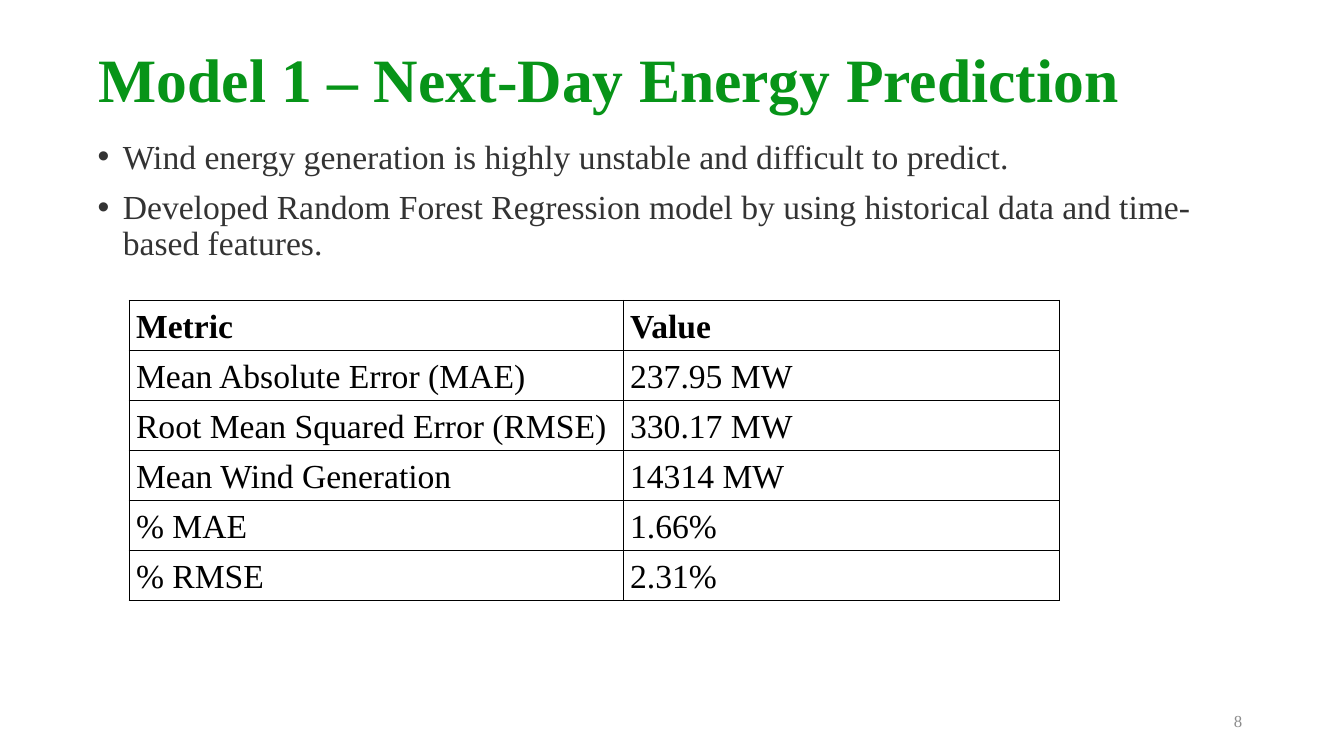
from lxml import etree
from pptx import Presentation
from pptx.dml.color import RGBColor
from pptx.enum.text import MSO_ANCHOR, PP_ALIGN
from pptx.oxml.ns import qn
from pptx.util import Inches, Pt

MIDDLE, TOP = MSO_ANCHOR.MIDDLE, MSO_ANCHOR.TOP
LEFT, RIGHT = PP_ALIGN.LEFT, PP_ALIGN.RIGHT

FONT = "Times New Roman"
COLORS = {
    "title": "079418",
    "body": "333333",
    "number": "8C8C8C",
    "table": "000000",
    "background": "FFFFFF",
}

BULLETS = [
    "Wind energy generation is highly unstable and difficult to predict.",
    "Developed Random Forest Regression model by using historical data and "
    "time-based features.",
]
METRICS = [
    ("Metric", "Value"),
    ("Mean Absolute Error (MAE)", "237.95 MW"),
    ("Root Mean Squared Error (RMSE)", "330.17 MW"),
    ("Mean Wind Generation", "14314 MW"),
    ("% MAE", "1.66%"),
    ("% RMSE", "2.31%"),
]
COLUMN_WIDTHS = (4.9, 4.33)
ROW_HEIGHT = 0.49


def add_run(paragraph, text, size, color, bold=False):
    run = paragraph.add_run()
    run.text = text
    run.font.name = FONT
    run.font.size = Pt(size)
    run.font.bold = bold
    run.font.color.rgb = RGBColor.from_string(COLORS[color])


def add_bullet(paragraph):
    properties = paragraph._p.get_or_add_pPr()
    properties.set("marL", str(Inches(0.25)))
    properties.set("indent", str(-Inches(0.25)))
    etree.SubElement(properties, qn("a:buFont"), typeface="Arial")
    etree.SubElement(properties, qn("a:buChar"), char="•")


def add_text(slide, position, lines, size, color, bold=False, anchor=MIDDLE,
             align=LEFT, spacing=1.0, bulleted=False):
    box = slide.shapes.add_textbox(*(Inches(value) for value in position))
    frame = box.text_frame
    frame.word_wrap = True
    frame.vertical_anchor = anchor
    for index, line in enumerate(lines):
        paragraph = frame.add_paragraph() if index else frame.paragraphs[0]
        paragraph.alignment = align
        paragraph.line_spacing = spacing
        if bulleted:
            paragraph.space_before = Pt(10)
            add_bullet(paragraph)
        add_run(paragraph, line, size, color, bold)


def add_borders(cell):
    properties = cell._tc.get_or_add_tcPr()
    for side in ("lnL", "lnR", "lnT", "lnB"):
        line = etree.SubElement(properties, qn(f"a:{side}"), w=str(Pt(0.75)))
        fill = etree.SubElement(line, qn("a:solidFill"))
        etree.SubElement(fill, qn("a:srgbClr"), val=COLORS["table"])


def fill_cell(cell, text, bold):
    add_borders(cell)
    cell.fill.background()
    cell.margin_left = cell.margin_right = Inches(0.07)
    cell.margin_top = cell.margin_bottom = Inches(0.05)
    paragraph = cell.text_frame.paragraphs[0]
    paragraph.line_spacing = Pt(28.5)
    add_run(paragraph, text, 24, "table", bold)


def add_metrics_table(slide, left, top):
    table = slide.shapes.add_table(
        len(METRICS), len(COLUMN_WIDTHS), Inches(left), Inches(top),
        Inches(sum(COLUMN_WIDTHS)), Inches(ROW_HEIGHT * len(METRICS))).table
    table.horz_banding = False
    for column, width in zip(table.columns, COLUMN_WIDTHS):
        column.width = Inches(width)
    for row_index, values in enumerate(METRICS):
        table.rows[row_index].height = Inches(ROW_HEIGHT)
        for column_index, value in enumerate(values):
            fill_cell(table.cell(row_index, column_index), value,
                      bold=row_index == 0)


def main():
    presentation = Presentation()
    presentation.slide_width = Inches(13.33)
    presentation.slide_height = Inches(7.5)
    slide = presentation.slides.add_slide(presentation.slide_layouts[6])
    background = slide.background.fill
    background.solid()
    background.fore_color.rgb = RGBColor.from_string(COLORS["background"])

    # Title and bullets
    add_text(slide, (0.88, 0.4, 11.68, 0.83),
             ["Model 1 – Next-Day Energy Prediction"], 44, "title",
             bold=True, spacing=0.9)
    add_text(slide, (0.87, 1.34, 11.68, 4.81), BULLETS, 24, "body",
             anchor=TOP, spacing=0.9, bulleted=True)

    # Model results
    add_metrics_table(slide, 1.28, 2.98)

    # Slide number
    add_text(slide, (9.42, 6.95, 3, 0.4), ["8"], 12, "number", align=RIGHT)

    presentation.save("out.pptx")


if __name__ == "__main__":
    main()
